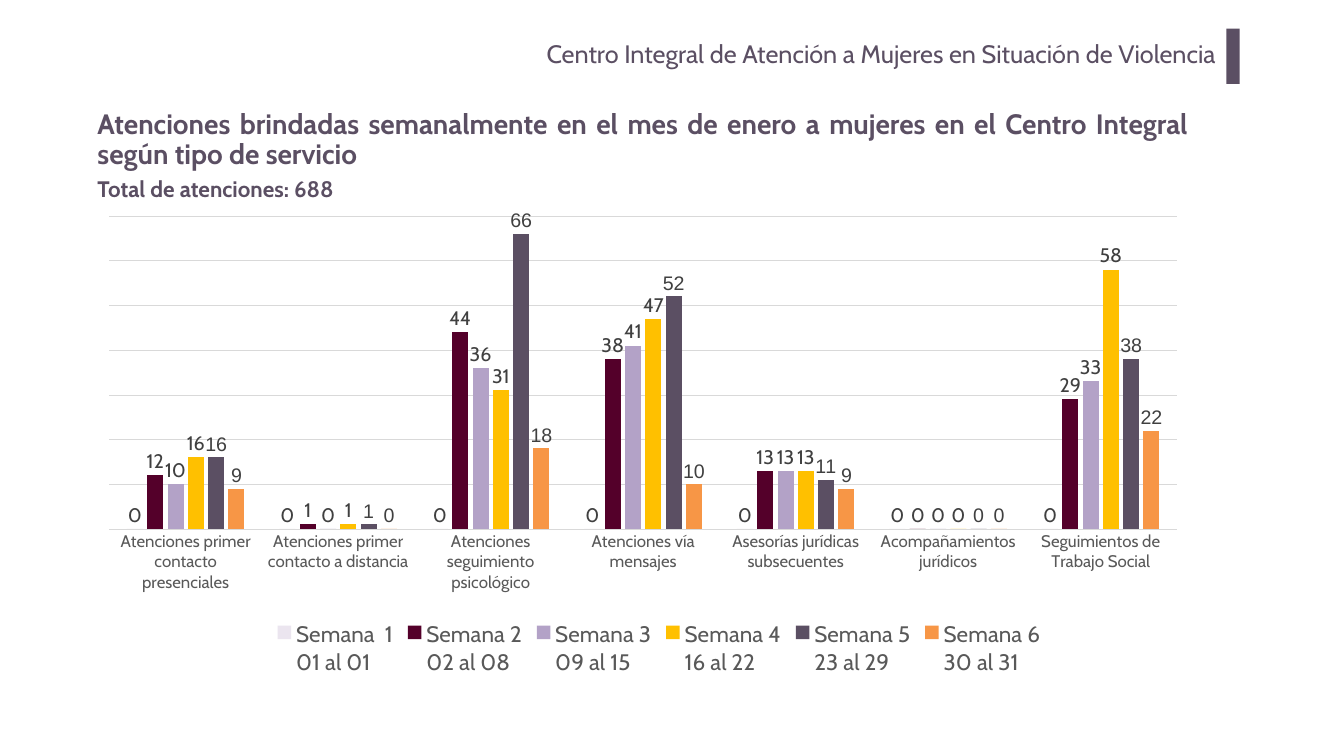
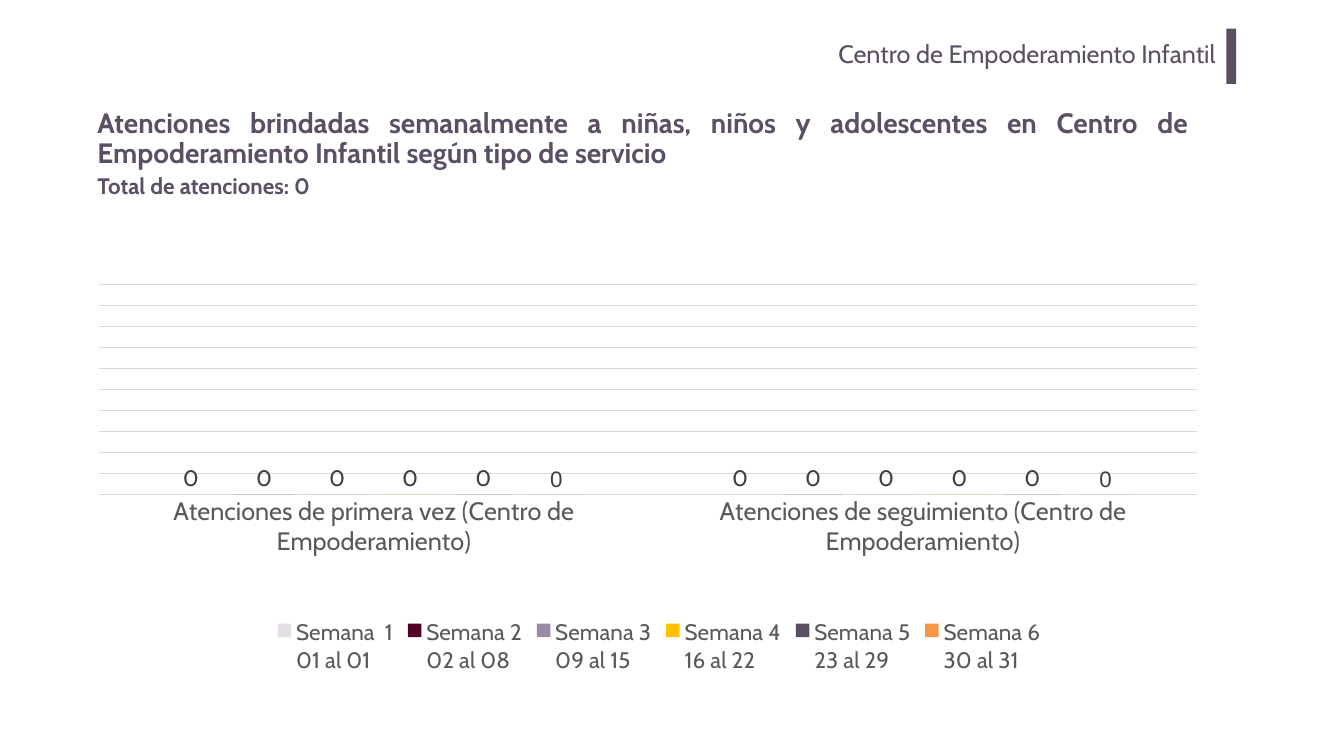
from pptx import Presentation
from pptx.chart.data import CategoryChartData
from pptx.dml.color import RGBColor
from pptx.enum.chart import XL_CHART_TYPE, XL_LABEL_POSITION, XL_LEGEND_POSITION, XL_TICK_MARK
from pptx.enum.shapes import MSO_SHAPE
from pptx.enum.text import MSO_ANCHOR, MSO_AUTO_SIZE, PP_ALIGN
from pptx.oxml import parse_xml
from pptx.oxml.ns import nsdecls
from pptx.util import Pt

COLORS = {
    "white": "FFFFFF",
    "purple": "5B4F63",
    "wine": "54002A",
    "lilac": "B3A2C7",
    "mauve": "998BA3",
    "mist": "EBE5EF",
    "haze": "E3DFE5",
    "yellow": "FFC000",
    "orange": "F79646",
    "grid": "D9D9D9",
    "axis_text": "595959",
    "value_text": "404040",
    "black": "000000",
}
FONT = "Cabin"
PLAIN_FONT = "Arial"
WEEKS = [
    "Semana  1\n01 al 01",
    "Semana 2\n02 al 08",
    "Semana 3\n09 al 15",
    "Semana 4\n16 al 22",
    "Semana 5\n23 al 29",
    "Semana 6\n30 al 31",
]

REPORTS = [
    {
        "center": "Centro Integral de Atención a Mujeres en Situación de Violencia",
        "band_width": 19,
        "title": "Atenciones brindadas semanalmente en el mes de enero a mujeres "
                 "en el Centro Integral según tipo de servicio",
        "title_top": 149,
        "total": "Total de atenciones: 688",
        "total_top": 247,
        "chart_box": (132, 281, 1619, 691),
        "plot_area": (0.015, 0.04, 0.942, 0.647),
        "services": [
            "Atenciones primer contacto presenciales",
            "Atenciones primer contacto a distancia",
            "Atenciones seguimiento psicológico",
            "Atenciones vía mensajes",
            "Asesorías jurídicas subsecuentes",
            "Acompañamientos jurídicos",
            "Seguimientos de Trabajo Social",
        ],
        "counts": [
            [0, 0, 0, 0, 0, 0, 0],
            [12, 1, 44, 38, 13, 0, 29],
            [10, 0, 36, 41, 13, 0, 33],
            [16, 1, 31, 47, 13, 0, 58],
            [16, 1, 66, 52, 11, 0, 38],
            [9, 0, 18, 10, 9, 0, 22],
        ],
        "week_colors": ["mist", "wine", "lilac", "yellow", "purple", "orange"],
        "scale": (70, 10),
        "service_size": 24,
        "value_size": 28,
        "plain_weeks": 2,
    },
    {
        "center": "Centro de Empoderamiento Infantil",
        "band_width": 14,
        "title": "Atenciones brindadas semanalmente a niñas, niños y adolescentes "
                 "en Centro de Empoderamiento Infantil según tipo de servicio",
        "title_top": 147,
        "total": "Total de atenciones: 0",
        "total_top": 242,
        "chart_box": (132, 384, 1619, 585),
        "plot_area": (0.006, 0.039, 0.969, 0.512),
        "services": [
            "Atenciones de primera vez (Centro de Empoderamiento)",
            "Atenciones de seguimiento (Centro de Empoderamiento)",
        ],
        "counts": [[0, 0]] * len(WEEKS),
        "week_colors": ["haze", "wine", "mauve", "yellow", "purple", "orange"],
        "scale": (1, 0.1),
        "service_size": 36,
        "value_size": 32,
        "plain_weeks": 1,
    },
]


def rgb(name):
    return RGBColor.from_string(COLORS[name])


def style_font(font, size, color, family=FONT, bold=False):
    font.size = Pt(size)
    font.name = family
    font.bold = bold
    font.color.rgb = rgb(color)


def write_text(frame, text, size, align, margins, bold=False):
    frame.word_wrap = True
    frame.margin_left = frame.margin_right = Pt(margins[0])
    frame.margin_top = frame.margin_bottom = Pt(margins[1])
    paragraph = frame.paragraphs[0]
    paragraph.alignment = align
    run = paragraph.add_run()
    run.text = text
    style_font(run.font, size, "purple", bold=bold)
    return paragraph


def add_header(slide, box, center, band_width):
    left, top, width, height = box
    name = slide.shapes.add_textbox(Pt(left), Pt(top + 7), Pt(width), Pt(height - 6))
    write_text(name.text_frame, center, 36, PP_ALIGN.RIGHT, (14.4, 7.2))
    band = slide.shapes.add_shape(
        MSO_SHAPE.RECTANGLE, Pt(left + width + 1), Pt(top), Pt(band_width), Pt(height))
    band.shadow.inherit = False
    band.fill.solid()
    band.fill.fore_color.rgb = rgb("purple")
    band.line.fill.background()


def add_title(slide, box):
    def fill_title(text):
        title = slide.shapes.title
        title.left, title.top, title.width, title.height = map(Pt, box)
        frame = title.text_frame
        frame.auto_size = MSO_AUTO_SIZE.NONE
        frame.vertical_anchor = MSO_ANCHOR.MIDDLE
        paragraph = write_text(frame, text, 40, PP_ALIGN.JUSTIFY, (7.2, 3.6), bold=True)
        paragraph.line_spacing = 0.9
    return fill_title


def add_total(slide, box, total):
    label = slide.shapes.add_textbox(*map(Pt, box))
    write_text(label.text_frame, total, 32, PP_ALIGN.LEFT, (7.2, 3.6), bold=True)
    label.text_frame.auto_size = MSO_AUTO_SIZE.SHAPE_TO_FIT_TEXT


def set_plot_area(chart, fractions):
    plot_area = chart.element.xpath("c:chart/c:plotArea")[0]
    for layout in plot_area.xpath("c:layout"):
        plot_area.remove(layout)
    modes = "".join(f'<c:{side}Mode val="edge"/>' for side in "xy")
    sizes = "".join(f'<c:{key} val="{value}"/>' for key, value in zip("xywh", fractions))
    plot_area.insert(0, parse_xml(
        f'<c:layout {nsdecls("c")}><c:manualLayout><c:layoutTarget val="inner"/>'
        f'{modes}{sizes}</c:manualLayout></c:layout>'))


def style_axes(chart, report):
    services = chart.category_axis
    services.major_tick_mark = services.minor_tick_mark = XL_TICK_MARK.NONE
    style_font(services.tick_labels.font, report["service_size"], "axis_text")
    values = chart.value_axis
    values.visible = False
    values.minimum_scale = 0
    values.maximum_scale, values.major_unit = report["scale"]
    values.has_major_gridlines = True
    values.tick_labels.number_format = "0"
    values.tick_labels.number_format_is_linked = False
    for line in (services.format.line, values.major_gridlines.format.line):
        line.width = Pt(0.75)
        line.color.rgb = rgb("grid")


def style_weeks(plot, report):
    plot.gap_width = 219
    plot.overlap = -27
    plot.vary_by_categories = False
    first_plain = len(WEEKS) - report["plain_weeks"]
    for index, (week, color) in enumerate(zip(plot.series, report["week_colors"])):
        week.format.fill.solid()
        week.format.fill.fore_color.rgb = rgb(color)
        week.invert_if_negative = False
        labels = week.data_labels
        labels.show_value = True
        labels.position = XL_LABEL_POSITION.OUTSIDE_END
        labels.number_format = "0"
        labels.number_format_is_linked = False
        family = PLAIN_FONT if index >= first_plain else FONT
        style_font(labels.font, report["value_size"], "value_text", family)


def add_weekly_chart(slide, box, report):
    data = CategoryChartData(number_format="0")
    data.categories = report["services"]
    for week, counts in zip(WEEKS, report["counts"]):
        data.add_series(week, counts)
    chart = slide.shapes.add_chart(XL_CHART_TYPE.COLUMN_CLUSTERED, *map(Pt, box), data).chart
    chart.has_title = False
    style_font(chart.font, 10, "black", PLAIN_FONT)
    chart.has_legend = True
    chart.legend.position = XL_LEGEND_POSITION.BOTTOM
    chart.legend.include_in_layout = False
    style_font(chart.legend.font, 32, "axis_text")
    style_axes(chart, report)
    style_weeks(chart.plots[0], report)
    set_plot_area(chart, report["plot_area"])


def add_report(deck, report):
    slide = deck.slides.add_slide(deck.slide_layouts[5])
    slide.background.fill.solid()
    slide.background.fill.fore_color.rgb = rgb("white")
    add_header(slide, (289, 41, 1462, 79), report["center"], report["band_width"])
    add_title(slide, (132, report["title_top"], 1573, 104))(report["title"])
    add_total(slide, (132, report["total_top"], 406, 46), report["total"])
    add_weekly_chart(slide, report["chart_box"], report)


def main():
    deck = Presentation()
    deck.slide_width, deck.slide_height = Pt(1920), Pt(1080)
    for report in REPORTS:
        add_report(deck, report)
    deck.save("out.pptx")


if __name__ == "__main__":
    main()
